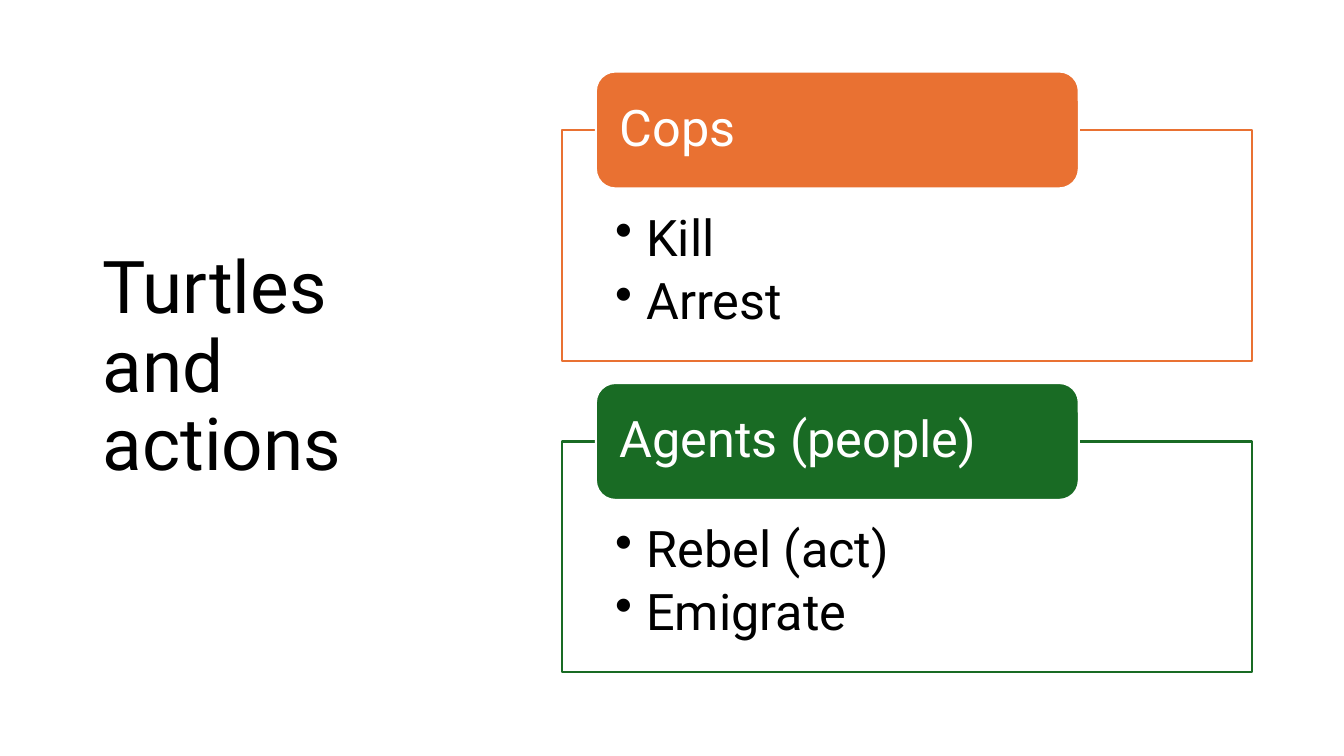
import pptx
import pptx.util
import pptx.dml.color
import pptx.enum.shapes
import pptx.enum.text
import pptx.oxml
import lxml.etree
from pptx.util import Inches

# Content
TITLE = "Turtles and actions"
GROUPS = [
    ("Cops", "E97132", ["Kill", "Arrest"]),
    ("Agents (people)", "196B24", ["Rebel (act)", "Emigrate"]),
]

THEME = {
    "font": "Roboto", "text": "000000", "light": "FFFFFF",
    "title_size": 52, "body_size": 36, "line_width": 1.5,
}

# Layout, in inches
PANEL_LEFT, PANEL_TOP, PANEL_WIDTH, PANEL_HEIGHT = 5.57, 1.29, 6.85, 2.29
GROUP_STEP = 3.09
HEADER_LEFT, HEADER_WIDTH, HEADER_HEIGHT = 5.91, 4.79, 1.16
BULLET_INDENT = 0.31
SHAPES = pptx.enum.shapes.MSO_SHAPE
ANCHOR = pptx.enum.text.MSO_ANCHOR


def color(name):
    return pptx.dml.color.RGBColor.from_string(name)


def add_box(page, kind, place, fill, line):
    box = page.shapes.add_shape(kind, *map(Inches, place))
    box.shadow.inherit = False
    box.fill.solid()
    box.fill.fore_color.rgb = color(fill)
    box.line.color.rgb = color(line)
    box.line.width = pptx.util.Pt(THEME["line_width"])
    return box


def write(box, lines, size, ink, anchor, insets):
    frame = box.text_frame
    frame.word_wrap = True
    frame.vertical_anchor = anchor
    (frame.margin_left, frame.margin_top,
     frame.margin_right, frame.margin_bottom) = map(Inches, insets)
    frame.text = "\n".join(lines)
    for para in frame.paragraphs:
        para.alignment = pptx.enum.text.PP_ALIGN.LEFT
        para.line_spacing = 0.9
        para.font.name = THEME["font"]
        para.font.size = pptx.util.Pt(size)
        para.font.color.rgb = color(ink)
    return frame.paragraphs


def add_bullet(para):
    para.space_after = pptx.util.Pt(6.3)
    settings = para._p.get_or_add_pPr()
    settings.set("marL", str(Inches(BULLET_INDENT)))
    settings.set("indent", str(-Inches(BULLET_INDENT)))
    bullet = pptx.oxml.parse_xml(
        '<a:buChar xmlns:a="http://schemas.openxmlformats.org/drawingml/2006/main" char="•"/>')
    settings.find(pptx.oxml.ns.qn("a:defRPr")).addprevious(bullet)


def add_panel(page, top, accent, actions):
    panel = add_box(page, SHAPES.RECTANGLE,
                    (PANEL_LEFT, top, PANEL_WIDTH, PANEL_HEIGHT), THEME["light"], accent)
    # Slightly transparent fill
    shade = panel.fill._xPr.find(".//" + pptx.oxml.ns.qn("a:srgbClr"))
    lxml.etree.SubElement(shade, pptx.oxml.ns.qn("a:alpha"), val="90000")
    for para in write(panel, actions, THEME["body_size"], THEME["text"],
                      ANCHOR.TOP, (0.53, 0.82, 0.53, 0.28)):
        add_bullet(para)


def main():
    deck = pptx.Presentation()
    deck.slide_width, deck.slide_height = Inches(13.33), Inches(7.5)
    page = deck.slides.add_slide(deck.slide_layouts[6])

    # Title
    title = page.shapes.add_textbox(*map(Inches, (0.92, 0.61, 3.69, 6.09)))
    write(title, [TITLE], THEME["title_size"], THEME["text"],
          ANCHOR.MIDDLE, (0.1, 0.05, 0.1, 0.05))

    # Panels, each with a header centred on its top edge
    for index, (name, accent, actions) in enumerate(GROUPS):
        top = PANEL_TOP + index * GROUP_STEP
        add_panel(page, top, accent, actions)
        header = add_box(page, SHAPES.ROUNDED_RECTANGLE,
                         (HEADER_LEFT, top - HEADER_HEIGHT / 2, HEADER_WIDTH, HEADER_HEIGHT),
                         accent, THEME["light"])
        write(header, [name], THEME["body_size"], THEME["light"],
              ANCHOR.MIDDLE, (0.18, 0, 0.18, 0))

    deck.save("out.pptx")


if __name__ == "__main__":
    main()
